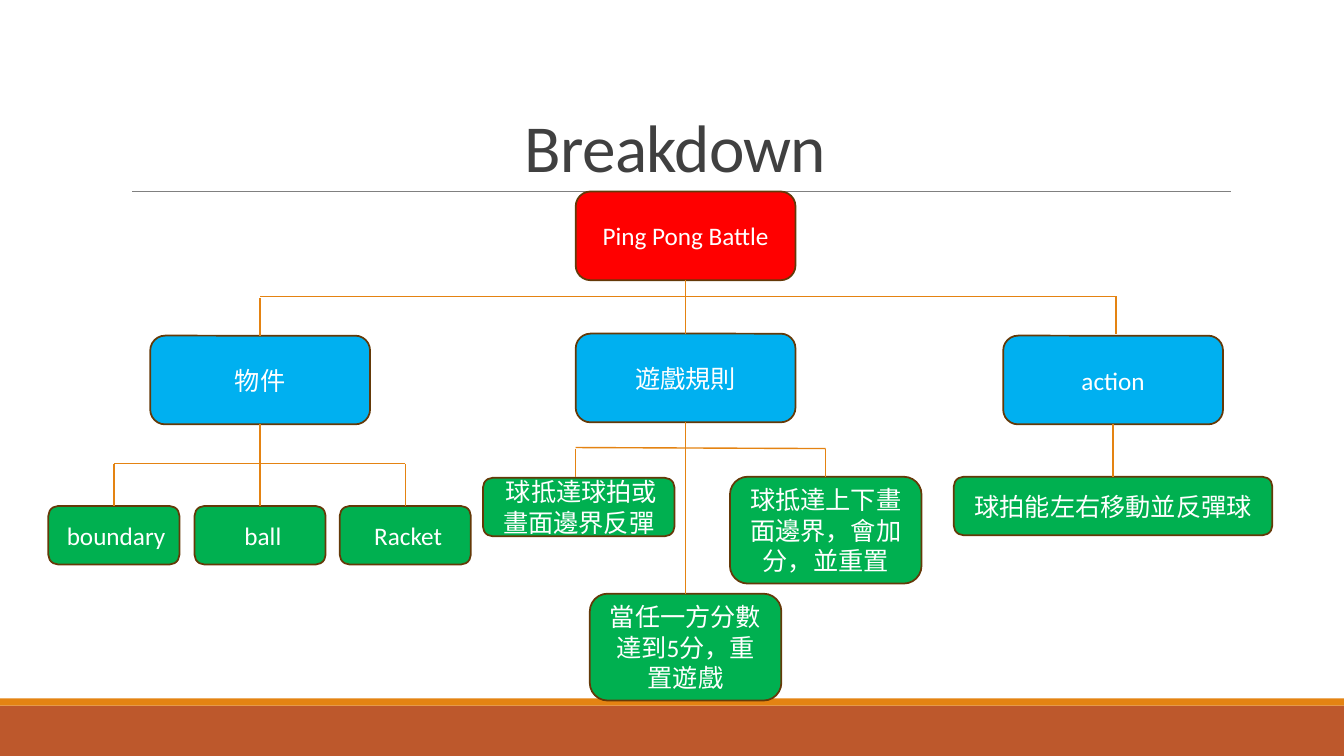
from lxml import etree
from pptx import Presentation
from pptx.dml.color import RGBColor
from pptx.enum.shapes import MSO_CONNECTOR, MSO_SHAPE
from pptx.enum.text import MSO_ANCHOR, MSO_AUTO_SIZE, PP_ALIGN
from pptx.oxml.ns import qn
from pptx.util import Pt

STRAIGHT = MSO_CONNECTOR.STRAIGHT
RECT, ROUNDED = MSO_SHAPE.RECTANGLE, MSO_SHAPE.ROUNDED_RECTANGLE
LEFT, CENTER = PP_ALIGN.LEFT, PP_ALIGN.CENTER
MIDDLE, BOTTOM = MSO_ANCHOR.MIDDLE, MSO_ANCHOR.BOTTOM
TOP_SITE, BOTTOM_SITE = 0, 2
PX = 9144
ORANGE, RUST, GREY, BROWN = "E48312", "BD582C", "808080", "643908"
RED, BLUE, GREEN = "FF0000", "00B0F0", "00B050"


def color(hex_string):
    return RGBColor.from_string(hex_string)


def draw_line(x1, y1, x2, y2, stroke, points):
    line = slide.shapes.add_connector(STRAIGHT, x1 * PX, y1 * PX, x2 * PX, y2 * PX)
    line.line.color.rgb = color(stroke)
    line.line.width = Pt(points)
    etree.SubElement(line._element.spPr, qn("a:effectLst"))
    return line


deck = Presentation()
deck.slide_width, deck.slide_height = 1333 * PX, 750 * PX
slide = deck.slides.add_slide(deck.slide_layouts[5])

for top, height, fill in [(700, 50, RUST), (693, 7, ORANGE)]:
    footer_band = slide.shapes.add_shape(RECT, 0, top * PX, 1333 * PX, height * PX)
    footer_band.shadow.inherit = False
    footer_band.fill.solid()
    footer_band.fill.fore_color.rgb = color(fill)
    footer_band.line.fill.background()
draw_line(131, 190, 1221, 190, GREY, 0.5)

heading = slide.shapes.title
for side, value in {"left": 120, "top": 31, "width": 1100, "height": 159}.items():
    setattr(heading, side, value * PX)
heading.text_frame.text = "Breakdown"
heading.text_frame.auto_size = MSO_AUTO_SIZE.NONE
heading.text_frame.vertical_anchor = BOTTOM
heading_line = heading.text_frame.paragraphs[0]
heading_line.alignment = CENTER
heading_line.line_spacing = 0.85
heading_run = heading_line.runs[0]
for name, value in {"name": "Calibri", "size": Pt(48)}.items():
    setattr(heading_run.font, name, value)
heading_run.font.color.rgb = color("404040")
heading_run._r.get_or_add_rPr().set("spc", "-50")

nodes = {
    "game": (571, 190, 218, 88, RED, "Ping Pong Battle"),
    "rules": (571, 331, 218, 88, BLUE, "遊戲規則"),
    "objects": (149, 333, 218, 88, BLUE, "物件"),
    "action": (995, 333, 218, 88, BLUE, "action"),
    "racket": (337, 502, 130, 58, GREEN, " Racket"),
    "ball": (193, 502, 130, 58, GREEN, " ball"),
    "boundary": (48, 502, 130, 58, GREEN, " boundary"),
    "score": (724, 473, 190, 106, GREEN, "球抵達上下畫面邊界，會加分，並重置"),
    "bounce": (479, 474, 190, 58, GREEN, " 球抵達球拍或畫面邊界反彈"),
    "move": (946, 473, 316, 58, GREEN, "球拍能左右移動並反彈球"),
    "reset": (585, 589, 190, 106, GREEN, "當任一方分數達到5分，重置遊戲"),
}
boxes = {}
for key, (left, top, width, height, fill, label) in nodes.items():
    box = slide.shapes.add_shape(ROUNDED, left * PX, top * PX, width * PX, height * PX)
    box.shadow.inherit = False
    box.fill.solid()
    box.fill.fore_color.rgb = color(fill)
    box.line.color.rgb = color(BROWN)
    box.line.width = Pt(1.25)
    box.text_frame.word_wrap = True
    box.text_frame.vertical_anchor = MIDDLE
    box.text_frame.text = label
    label_line = box.text_frame.paragraphs[0]
    label_line.alignment = LEFT if key == "boundary" else CENTER
    label_font = label_line.runs[0].font
    for name, value in {"name": "Calibri", "size": Pt(18)}.items():
        setattr(label_font, name, value)
    label_font.color.rgb = color("FFFFFF")
    boxes[key] = box

branches = [
    (258, 294, 1107, 294, None, None),
    (680, 278, 680, 331, "game", "rules"),
    (258, 296, 258, 333, None, "objects"),
    (1107, 294, 1107, 331, None, None),
    (258, 421, 258, 502, "objects", "ball"),
    (113, 460, 402, 460, None, None),
    (402, 460, 402, 502, None, "racket"),
    (113, 460, 113, 502, None, "boundary"),
    (571, 444, 819, 445, None, None),
    (571, 445, 571, 473, None, None),
    (680, 419, 680, 445, "rules", None),
    (819, 445, 819, 473, None, "score"),
    (1104, 421, 1104, 473, "action", "move"),
    (680, 444, 680, 589, None, "reset"),
]
for x1, y1, x2, y2, parent, child in branches:
    branch = draw_line(x1, y1, x2, y2, ORANGE, 1)
    if parent:
        branch.begin_connect(boxes[parent], BOTTOM_SITE)
    if child:
        branch.end_connect(boxes[child], TOP_SITE)

deck.save("out.pptx")
